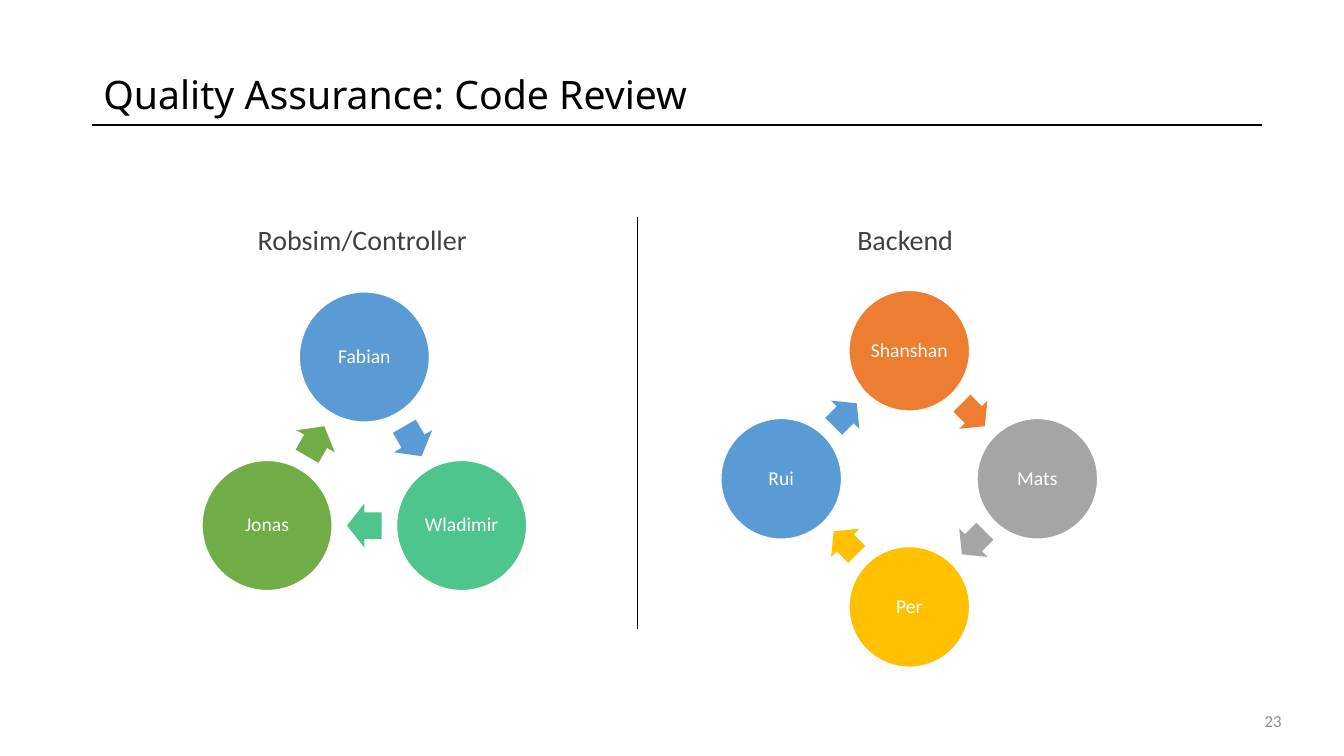
from math import cos, sin, pi, radians
from lxml.etree import SubElement
from pptx import Presentation
from pptx.dml.color import RGBColor
from pptx.enum.shapes import MSO_CONNECTOR, MSO_SHAPE
from pptx.enum.text import MSO_ANCHOR, PP_ALIGN
from pptx.oxml.ns import qn
from pptx.util import Pt


def px(n):
    return round(n * 9525)


def color(value):
    return RGBColor.from_string(value)


class Deck:
    font = "Calibri"
    title_font = "Noto Sans"
    black, gray, dark, white = "000000", "8C8C8C", "404040", "FFFFFF"

    def __init__(self, width, height):
        self.prs = Presentation()
        self.prs.slide_width = px(width)
        self.prs.slide_height = px(height)
        self.s = self.prs.slides.add_slide(self.prs.slide_layouts[6])

    def fill_text(self, tf, text, size, ink, align, font=None):
        tf.text = text
        p = tf.paragraphs[0]
        p.alignment = align
        r = p.runs[0]
        r.font.size = Pt(size)
        r.font.name = font or self.font
        r.font.color.rgb = color(ink)
        return p

    def text(self, x, y, w, h, text, size, ink, align=PP_ALIGN.LEFT,
             anchor=MSO_ANCHOR.TOP, font=None):
        tf = self.s.shapes.add_textbox(px(x), px(y), px(w), px(h)).text_frame
        tf.word_wrap = True
        tf.vertical_anchor = anchor
        self.fill_text(tf, text, size, ink, align, font)

    def line(self, x1, y1, x2, y2, width):
        sp = self.s.shapes.add_connector(
            MSO_CONNECTOR.STRAIGHT, px(x1), px(y1), px(x2), px(y2))
        sp.line.color.rgb = color(self.black)
        sp.line.width = Pt(width)
        SubElement(sp._element.spPr, qn("a:effectLst"))

    def shape(self, group, kind, cx, cy, w, h, fill):
        sp = group.shapes.add_shape(
            kind, px(cx - w / 2), px(cy - h / 2), px(w), px(h))
        sp.shadow.inherit = False
        sp.fill.solid()
        sp.fill.fore_color.rgb = color(fill)
        sp.line.fill.background()
        return sp

    def circle(self, group, cx, cy, size, name, fill):
        sp = self.shape(group, MSO_SHAPE.OVAL, cx, cy, size, size, fill)
        sp.line.color.rgb = color(self.white)
        sp.line.width = Pt(1)
        tf = sp.text_frame
        tf.word_wrap = True
        tf.vertical_anchor = MSO_ANCHOR.MIDDLE
        tf.margin_left = tf.margin_right = px(2)
        tf.margin_top = tf.margin_bottom = px(2)
        p = self.fill_text(tf, name, 14, self.white, PP_ALIGN.CENTER)
        p.line_spacing = 0.9

    def arrow(self, group, cx, cy, w, h, angle, fill):
        sp = self.shape(group, MSO_SHAPE.RIGHT_ARROW, cx, cy, w, h, fill)
        sp.adjustments[0] = 0.6
        sp.adjustments[1] = 0.5
        sp.rotation = angle

    def cycle(self, cx, cy, radius, size, arrow_size, people):
        group = self.s.shapes.add_group_shape()
        step = 360 / len(people)
        arrow_radius = radius * cos(pi / len(people))
        for i, (name, fill) in enumerate(people):
            a = radians(i * step)
            self.circle(group, cx + radius * sin(a), cy - radius * cos(a),
                        size, name, fill)
            turn = (i + 0.5) * step
            a = radians(turn)
            self.arrow(group, cx + arrow_radius * sin(a),
                       cy - arrow_radius * cos(a), *arrow_size, turn, fill)


def main():
    deck = Deck(1280, 720)
    deck.line(88, 119, 1202, 119, 1.5)
    deck.text(89, 61, 1112, 57, "Quality Assurance: Code Review", 28,
              deck.black, anchor=MSO_ANCHOR.MIDDLE, font=deck.title_font)
    deck.text(1175, 667, 55, 38, "23", 12, deck.gray,
              PP_ALIGN.RIGHT, MSO_ANCHOR.MIDDLE)
    deck.text(236, 207, 280, 42, "Robsim/Controller", 20, deck.dark)
    deck.text(807, 207, 116, 42, "Backend", 20, deck.dark)
    deck.cycle(347, 447, 107, 124, (33, 42), [
        ("Fabian", "5B9BD5"), ("Wladimir", "4DC58D"), ("Jonas", "70AD47")])
    deck.cycle(866, 456, 122, 115, (31, 38), [
        ("Shanshan", "ED7D31"), ("Mats", "A5A5A5"),
        ("Per", "FFC000"), ("Rui", "5B9BD5")])
    deck.line(607, 207, 607, 599, 0.5)
    deck.prs.save("out.pptx")


if __name__ == "__main__":
    main()
